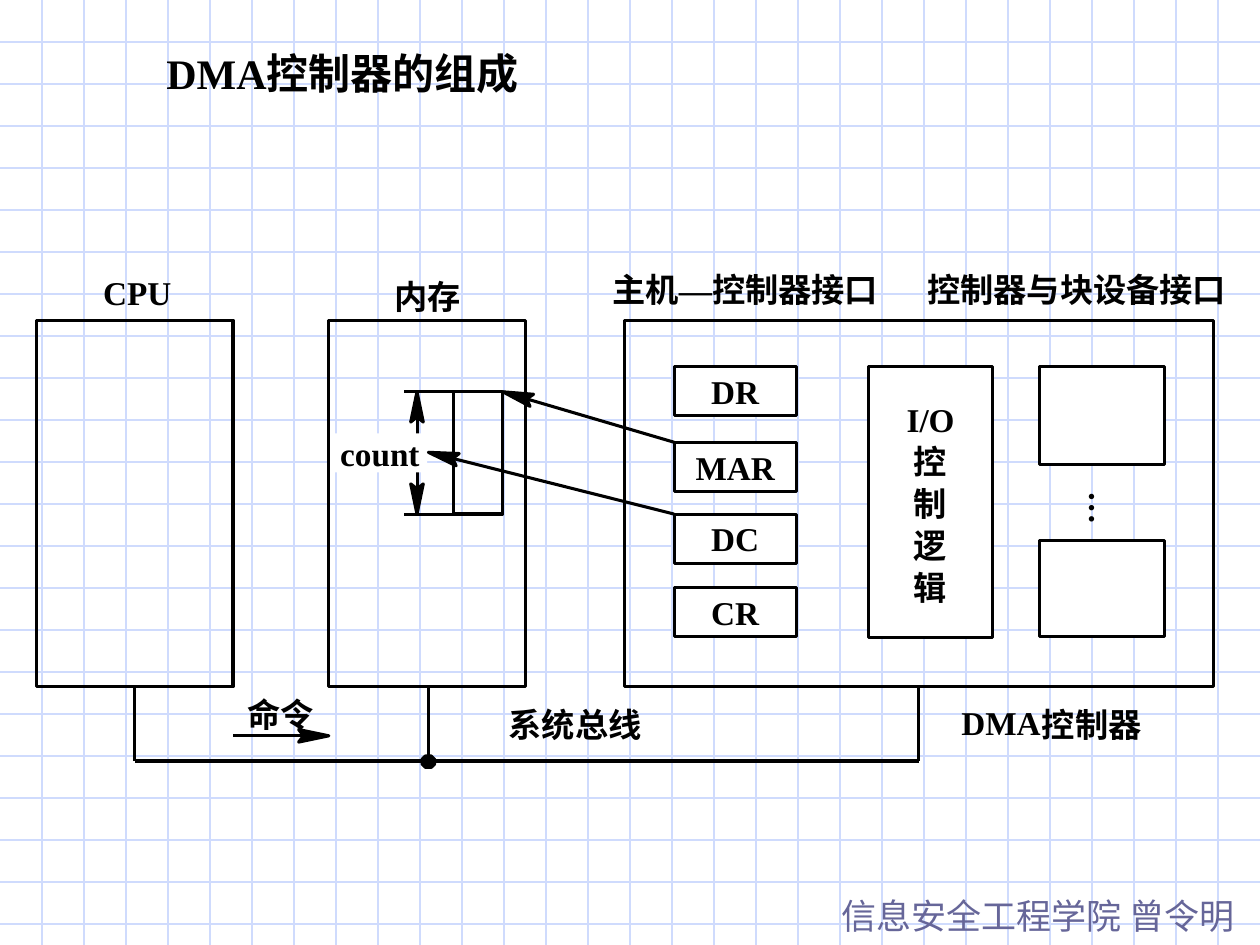
from math import atan2, cos, sin

from lxml import etree
from pptx import Presentation
from pptx.dml.color import RGBColor
from pptx.enum.shapes import MSO_CONNECTOR as Connector, MSO_SHAPE as Shape
from pptx.enum.text import MSO_ANCHOR as Anchor, MSO_AUTO_SIZE as AutoSize, PP_ALIGN as Align
from pptx.oxml.ns import qn
from pptx.util import Inches, Pt

BLACK = RGBColor(0x00, 0x00, 0x00)
WHITE = RGBColor(0xFF, 0xFF, 0xFF)
GRID_BLUE = RGBColor(0xCF, 0xDB, 0xFD)
FOOTER_PURPLE = RGBColor(0x66, 0x66, 0x99)

SERIF = "Times New Roman"
SANS = "Noto Sans CJK SC"
FOOTER_FONT = "Noto Sans CJK JP"

COLUMNS, ROWS = 100, 75
STROKE = 1.75
LABEL_SLACK = 0.4


def cell(count):
    """Length of a number of layout cells, each a tenth of an inch."""
    return Inches(count / 10)


class Diagram:
    def __init__(self, presentation):
        self.slide = presentation.slides.add_slide(presentation.slide_layouts[5])
        self.shapes = self.slide.shapes

    def style_run(self, run, font_name, size=19, color=BLACK, bold=True, east_asian=SANS):
        font = run.font
        font.name, font.size, font.bold = font_name, Pt(size), bold
        font.color.rgb = color
        etree.SubElement(font._element, qn("a:ea")).set("typeface", east_asian)

    def title(self, text, left, top, width, height):
        title = self.shapes.title
        title.left, title.top, title.width, title.height = map(cell, (left, top, width, height))
        frame = title.text_frame
        frame.text = text
        frame.word_wrap = False
        frame.auto_size = AutoSize.SHAPE_TO_FIT_TEXT
        frame.vertical_anchor = Anchor.TOP
        frame.paragraphs[0].alignment = Align.LEFT
        self.style_run(frame.paragraphs[0].runs[0], SERIF, 24)
        self.shapes._spTree.append(title._element)  # in front of the grid

    def label(self, left, top, width, *parts, rotation=0):
        """Centred text with a little room at both sides; parts are wording and font name."""
        box = self.shapes.add_textbox(cell(left - LABEL_SLACK), cell(top),
                                      cell(width + 2 * LABEL_SLACK), cell(3.2))
        box.rotation = rotation
        frame = box.text_frame
        frame.word_wrap = False
        frame.auto_size = AutoSize.SHAPE_TO_FIT_TEXT
        frame.margin_left = frame.margin_right = frame.margin_top = frame.margin_bottom = 0
        frame.paragraphs[0].alignment = Align.CENTER
        for wording, font_name in parts:
            run = frame.paragraphs[0].add_run()
            run.text = wording
            self.style_run(run, font_name, east_asian=font_name)

    def footer(self, text, left, top, width, height):
        box = self.shapes.add_textbox(cell(left), cell(top), cell(width), cell(height))
        frame = box.text_frame
        frame.text = text
        frame.word_wrap = True
        frame.auto_size = AutoSize.SHAPE_TO_FIT_TEXT
        paragraph = frame.paragraphs[0]
        paragraph.alignment = Align.RIGHT
        self.style_run(paragraph.runs[0], FOOTER_FONT, 20, FOOTER_PURPLE, False, FOOTER_FONT)

    def box(self, left, top, width, height, text="", fill=WHITE, outlined=True, leading=None):
        shape = self.shapes.add_shape(Shape.RECTANGLE, *map(cell, (left, top, width, height)))
        self.paint(shape, fill, outlined)
        if text:
            frame = shape.text_frame
            frame.text = text
            frame.margin_top = frame.margin_bottom = 0
            frame.vertical_anchor = Anchor.MIDDLE
            for paragraph in frame.paragraphs:
                paragraph.alignment = Align.CENTER
                paragraph.line_spacing = leading
                self.style_run(paragraph.runs[0], SERIF)

    def paint(self, shape, fill, outlined=True):
        shape.shadow.inherit = False
        if fill is None:
            shape.fill.background()
        else:
            shape.fill.solid()
            shape.fill.fore_color.rgb = fill
        if outlined:
            shape.line.color.rgb = BLACK
            shape.line.width = Pt(STROKE)
        else:
            shape.line.fill.background()

    def line(self, start, end, color=BLACK, width=STROKE):
        connector = self.shapes.add_connector(Connector.STRAIGHT, *map(cell, (*start, *end)))
        connector.line.color.rgb = color
        connector.line.width = Pt(width)
        etree.SubElement(connector._element.spPr, qn("a:effectLst"))

    def arrowhead(self, start, tip):
        """Long notched head at the tip of a line coming from start."""
        angle = atan2(tip[1] - start[1], tip[0] - start[0])

        def place(back, aside):
            return (cell(tip[0] - back * cos(angle) - aside * sin(angle)),
                    cell(tip[1] - back * sin(angle) + aside * cos(angle)))

        outline = [place(*point) for point in ((0, 0), (2.4, 0.5), (2, 0), (2.4, -0.5))]
        builder = self.shapes.build_freeform(*outline[0])
        builder.add_line_segments(outline[1:], close=True)
        self.paint(builder.convert_to_shape(), BLACK)

    def arrow(self, start, tip):
        self.line(start, tip)
        self.arrowhead(start, tip)

    def dot(self, left, top, width, height):
        shape = self.shapes.add_shape(Shape.OCTAGON, *map(cell, (left, top, width, height)))
        self.paint(shape, BLACK)

    def background_grid(self):
        step = 10 / 3
        for index in range(1, 23):
            self.line((0, index * step), (COLUMNS, index * step), GRID_BLUE, 0.75)
        for index in range(1, 30):
            self.line((index * step, 0), (index * step, ROWS), GRID_BLUE, 0.75)


def draw_controller(diagram):
    for name, top in (("DR", 29.1), ("MAR", 35.1), ("DC", 40.8), ("CR", 46.6)):
        diagram.box(53.5, top, 9.7, 3.9, name)
    diagram.box(68.9, 29.1, 9.9, 21.5, "I/O\n控\n制\n逻\n辑", leading=Pt(24))
    diagram.box(82.5, 29.1, 9.9, 7.8)
    diagram.box(82.5, 42.9, 9.9, 7.6)
    diagram.label(86.2, 38.7, 2.6, ("…", SERIF), rotation=90)
    diagram.box(49.6, 25.4, 46.7, 29.1, fill=None)
    diagram.label(48.6, 21.4, 21.1, ("主机", SANS), ("—", SERIF), ("控制器接口", SANS))
    diagram.label(73.6, 21.4, 23.7, ("控制器与块设备接口", SANS))
    diagram.label(76.3, 55.7, 6.3, ("DMA", SERIF))
    diagram.label(82.7, 55.9, 7.9, ("控制器", SANS))


def draw_memory(diagram):
    block_left, block_top, block_bottom = 36, 31.1, 40.8
    diagram.box(block_left, block_top, 3.9, block_bottom - block_top, fill=None)
    diagram.arrow((53.5, 35.1), (39.9, block_top))
    for edge in (block_top, block_bottom):
        diagram.line((block_left, edge), (32.1, edge))
    top, bottom = (33.1, block_top), (33.1, block_bottom)
    diagram.arrow(bottom, top)
    diagram.arrowhead(top, bottom)
    diagram.box(26.1, 34.4, 7.8, 3.1, outlined=False)
    diagram.label(27, 34.4, 6.3, ("count", SERIF))
    diagram.arrow((53.5, 40.8), (34, 35.9))
    diagram.box(26.1, 25.4, 15.6, 29.1, fill=None)
    diagram.label(31.3, 21.9, 5.3, ("内存", SANS))


def draw_processor_and_bus(diagram):
    diagram.box(2.9, 25.4, 15.6, 29.1, fill=None)
    diagram.label(8.2, 21.6, 5.4, ("CPU", SERIF))
    bus_row = 60.4
    for column in (10.7, 34, 72.9):
        diagram.line((column, bus_row), (column, 54.5))
    diagram.line((72.9, bus_row), (10.7, bus_row))
    diagram.dot(33.5, 60, 1, 0.9)
    diagram.arrow((18.5, 58.4), (26.1, 58.4))
    diagram.label(19.6, 55.1, 5.3, ("命令", SANS))
    diagram.label(40.4, 55.9, 10.5, ("系统总线", SANS))


def main():
    presentation = Presentation()
    presentation.slide_width, presentation.slide_height = cell(COLUMNS), cell(ROWS)
    diagram = Diagram(presentation)
    diagram.background_grid()
    diagram.footer("信息安全工程学院 曾令明", 65.3, 70.5, 33.7, 4.4)
    diagram.title("DMA控制器的组成", 12.2, 3.3, 31.5, 5)
    draw_controller(diagram)
    draw_memory(diagram)
    draw_processor_and_bus(diagram)
    presentation.save("out.pptx")


if __name__ == "__main__":
    main()
